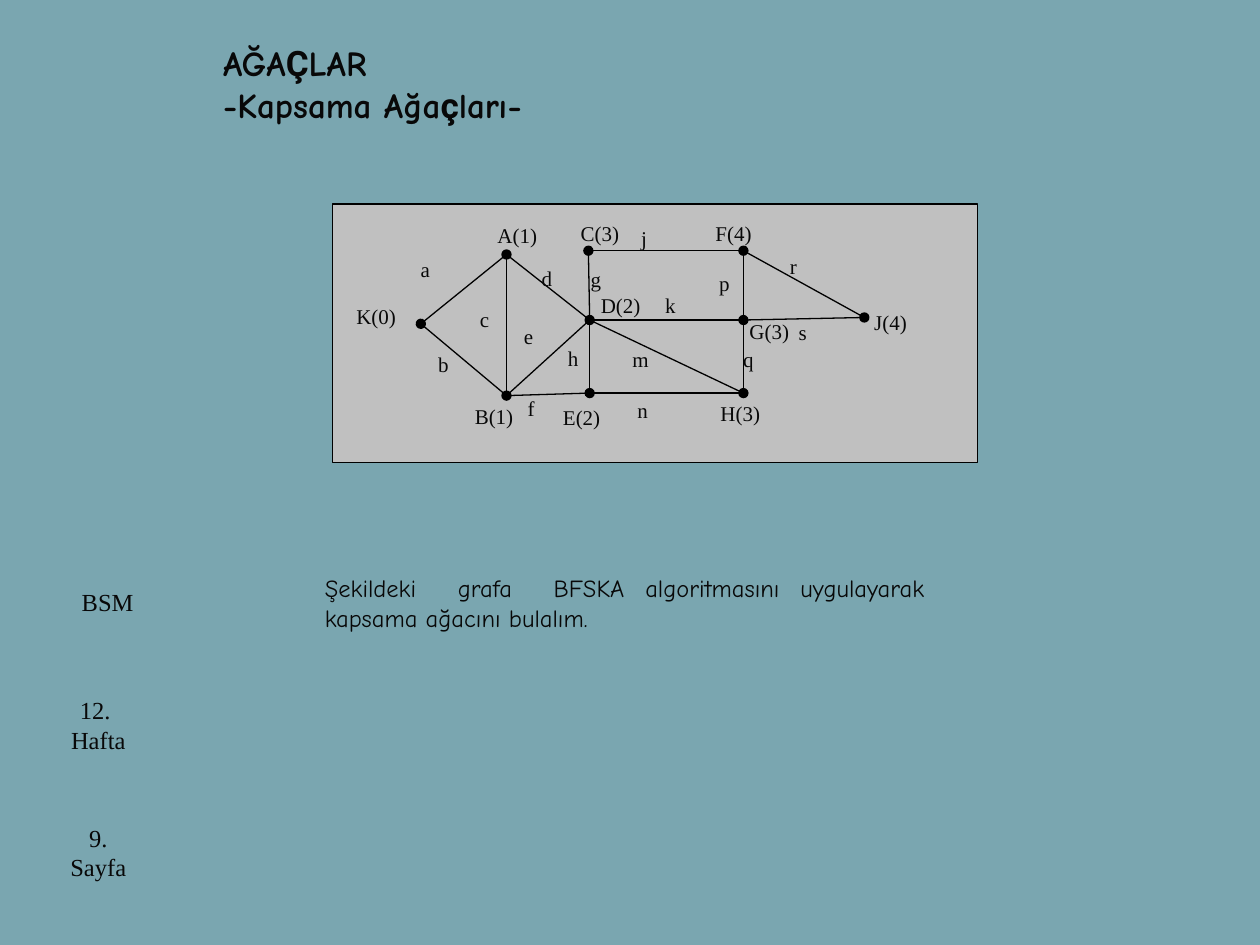
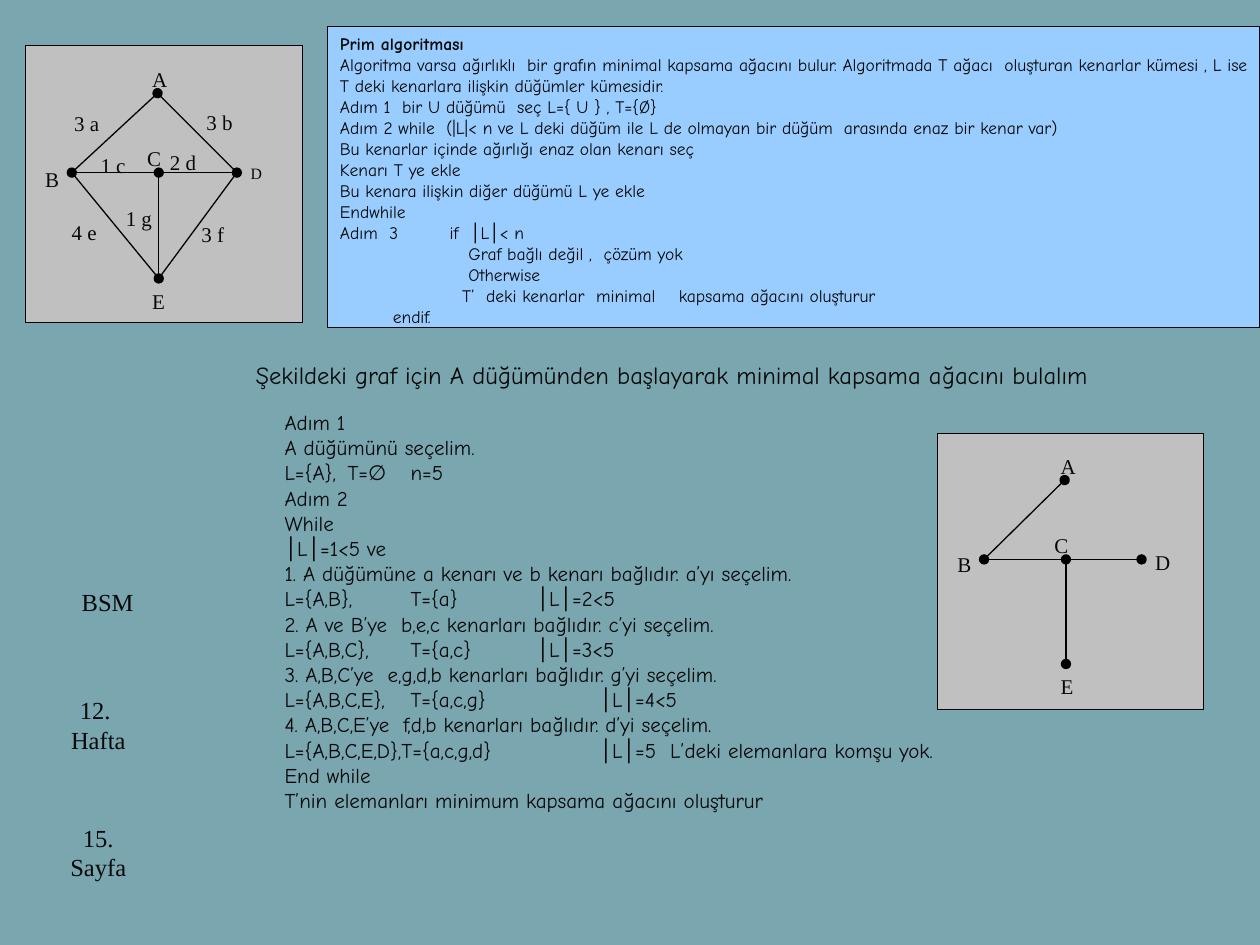
"""Build two slides on spanning trees: a breadth-first graph and Prim's algorithm."""
from lxml import etree
from pptx import Presentation
from pptx import util as u
from pptx.dml import color
from pptx.enum import shapes, text
from pptx.oxml import ns

COLORS = {"background": "7AA6B0", "ink": "080808", "edge": "000000",
          "panel": "C0C0C0", "algorithm": "99CCFF"}
COMIC, ROMAN, ROBOTO = "Comic Neue", "Times New Roman", "Roboto"

GRAPH_NODES = {"K": (3.34, 2.57), "A": (4.02, 2.02), "B": (4.02, 3.14), "C": (4.67, 1.99),
               "D": (4.68, 2.54), "E": (4.68, 3.12), "F": (5.9, 1.99), "G": (5.9, 2.54),
               "H": (5.9, 3.12), "J": (6.86, 2.52)}
GRAPH_EDGES = ["A-K*", "K-B", "*B-A*", "A-D", "D-B", "D-C", "*C-F*", "F-G", "G-D", "*G-H*",
               "H-E*", "E-D", "B-E", "F-J*", "J-G", "*D-H"]
GRAPH_LABELS = {
    "K(0)": (2.73, 2.36), "A(1)": (3.85, 1.72), "C(3)": (4.51, 1.7), "F(4)": (5.58, 1.7),
    "B(1)": (3.67, 3.15), "E(2)": (4.37, 3.16), "H(3)": (5.62, 3.13), "J(4)": (6.84, 2.41),
    "G(3)": (5.85, 2.48), "D(2)": (4.67, 2.27), "a": (3.24, 1.99), "b": (3.38, 2.74),
    "c": (3.71, 2.38), "e": (4.06, 2.52), "d": (4.2, 2.06), "j": (4.99, 1.74),
    "k": (5.18, 2.27), "n": (4.96, 3.11), "f": (4.09, 3.09), "p": (5.61, 2.1),
    "r": (6.17, 1.96), "m": (4.92, 2.7), "h": (4.41, 2.69), "q": (5.8, 2.7),
    "s": (6.24, 2.49), "g": (4.59, 2.07)}

WEIGHTED_NODES = {"A": (1.25, 0.74), "B": (0.57, 1.37), "C": (1.26, 1.37),
                  "D": (1.88, 1.37), "E": (1.26, 2.21)}
WEIGHTED_EDGES = ["*A-B", "A-D", "*D-C", "*B-E", "*E-C*", "E-D", "B-C"]
WEIGHTED_LABELS = {
    "A": (1.11, 0.48), "B": (0.26, 1.27), "D": (1.89, 1.25), "3 a": (0.49, 0.83),
    "E": (1.11, 2.24), "C": (1.07, 1.11), "3 b": (1.54, 0.82), "4 e": (0.47, 1.69),
    "3 f": (1.5, 1.71), "2 d": (1.25, 1.14), "1 c": (0.7, 1.16), "1 g": (0.9, 1.58)}

TREE_NODES = {"A": (8.45, 3.81), "B": (7.81, 4.44), "C": (8.46, 4.44),
              "D": (9.06, 4.44), "E": (8.46, 5.27)}
TREE_EDGES = ["*A-B", "*D-C", "*E-C*", "*B-C"]
TREE_LABELS = {"A": (8.32, 3.55), "B": (7.5, 4.33), "D": (9.07, 4.31),
               "E": (8.32, 5.3), "C": (8.27, 4.18)}

ALGORITHM_LINES = [
    "Prim algoritması",
    "Algoritma varsa ağırlıklı  bir grafın minimal kapsama ağacını bulur. Algoritmada T ağacı  "
    "oluşturan kenarlar kümesi , L ise T deki kenarlara ilişkin düğümler kümesidir.",
    "Adım 1  bir U düğümü  seç L={ U } , T={Ø}",
    "Adım 2 while  (|L|< n ve L deki düğüm ile L de olmayan bir düğüm \t"
    "arasında enaz bir kenar var)",
    "Bu kenarlar içinde ağırlığı enaz olan kenarı seç",
    "Kenarı T ye ekle",
    "Bu kenara ilişkin diğer düğümü L ye ekle",
    "Endwhile",
    "Adım  3\tif  │L│< n",
    "\tGraf bağlı değil ,  çözüm yok",
    "\tOtherwise",
    "\tT’  deki kenarlar  minimal\tkapsama ağacını oluşturur",
    "\tendif."]
ALGORITHM_TABS = {3: [0.25], 8: [0.87], 9: [1.02], 10: [1.02], 11: [0.97, 2.69], 12: [0.42]}

SOLUTION_LINES = [
    "Adım 1",
    "A düğümünü seçelim.",
    "L={A},\tT=∅\tn=5",
    "Adım 2",
    "While",
    "│L│=1<5 ve",
    "1. A düğümüne a kenarı ve b kenarı bağlıdır. a’yı seçelim.",
    "L={A,B},\tT={a}\t\t│L│=2<5",
    "2. A ve B’ye  b,e,c kenarları bağlıdır. c’yi seçelim.",
    "L={A,B,C},\tT={a,c}\t\t│L│=3<5",
    "3. A,B,C’ye  e,g,d,b kenarları bağlıdır. g’yi seçelim.",
    "L={A,B,C,E},\tT={a,c,g}\t\t│L│=4<5",
    "4. A,B,C,E’ye  f,d,b kenarları bağlıdır. d’yi seçelim.",
    "L={A,B,C,E,D},T={a,c,g,d}\t\t│L│=5  L’deki elemanlara komşu yok.",
    "End while",
    "T’nin elemanları minimum kapsama ağacını oluşturur"]


def rgb(name):
    """Return the palette colour with this name."""
    return color.RGBColor.from_string(COLORS[name])


def inches(values):
    """Convert a sequence of numbers to lengths."""
    return [u.Inches(value) for value in values]


def add_run(paragraph, words, name, size, bold=False):
    """Append a run of formatted text to a paragraph."""
    run = paragraph.add_run()
    run.text = words
    for attribute, value in {"name": name, "size": u.Pt(size), "bold": bold}.items():
        setattr(run.font, attribute, value)
    run.font.color.rgb = rgb("ink")
    return run


def fill_text(shape, lines, name, size, align=text.PP_ALIGN.LEFT, anchor=text.MSO_ANCHOR.TOP):
    """Write one paragraph per line into a shape."""
    frame = shape.text_frame
    for attribute, value in {"word_wrap": True, "vertical_anchor": anchor}.items():
        setattr(frame, attribute, value)
    for index, line in enumerate(lines):
        paragraph = frame.add_paragraph() if index else frame.paragraphs[0]
        paragraph.alignment = align
        add_run(paragraph, line, name, size)
    return frame


def add_text(parent, box, lines, name, size, **layout):
    """Add a text box to a slide or group."""
    return fill_text(parent.shapes.add_textbox(*inches(box)), lines, name, size, **layout)


def add_panel(parent, box, fill, line):
    """Add a filled, thinly outlined rectangle."""
    panel = parent.shapes.add_shape(shapes.MSO_SHAPE.RECTANGLE, *inches(box))
    panel.shadow.inherit = False
    panel.fill.solid()
    panel.fill.fore_color.rgb = rgb(fill)
    panel.line.color.rgb = rgb(line)
    panel.line.width = u.Pt(0.75)
    return panel


def add_edge(parent, start, end, start_dot, end_dot):
    """Add a graph edge with round dots at the chosen ends."""
    edge = parent.shapes.add_connector(shapes.MSO_CONNECTOR.STRAIGHT, *inches(start + end))
    edge.line.color.rgb = rgb("edge")
    edge.line.width = u.Pt(0.75)
    properties = edge._element.spPr
    outline = properties.find(ns.qn("a:ln"))
    for tag, dotted in (("a:headEnd", start_dot), ("a:tailEnd", end_dot)):
        if dotted:
            etree.SubElement(outline, ns.qn(tag), type="oval")
    etree.SubElement(properties, ns.qn("a:effectLst"))


def add_graph(slide, panel_box, nodes, edges, labels, label_size, small=()):
    """Add a grouped graph; an asterisk in an edge marks an end with a dot."""
    group = slide.shapes.add_group_shape()
    add_panel(group, panel_box, "panel", "edge")
    for edge in edges:
        start, end = edge.strip("*").split("-")
        add_edge(group, nodes[start], nodes[end], edge.startswith("*"), edge.endswith("*"))
    width, height = label_size
    for label, position in labels.items():
        label_width = 0.54 if " " in label else width
        add_text(group, (*position, label_width, height), [label], ROMAN,
                 9 if label in small else 12)


def add_title(slide):
    """Fill the title placeholder with its two lines."""
    title = slide.shapes.title
    geometry = zip(("left", "top", "width", "height"), inches((1.67, 0.08, 8.07, 1.17)))
    for attribute, value in geometry:
        setattr(title, attribute, value)
    frame = title.text_frame
    frame.auto_size = text.MSO_AUTO_SIZE.NONE
    frame.vertical_anchor = text.MSO_ANCHOR.MIDDLE
    paragraph = frame.paragraphs[0]
    paragraph.alignment = text.PP_ALIGN.LEFT
    for words, name in (("AĞA", COMIC), ("Ç", ROBOTO), ("LAR", COMIC)):
        add_run(paragraph, words, name, 20, True)
    paragraph.add_line_break()
    for words, name in (("-Kapsama Ağa", COMIC), ("ç", ROBOTO), ("ları-", COMIC)):
        add_run(paragraph, words, name, 20, True)


def add_footer(slide, page):
    """Add the course, week and page notes at the left edge."""
    centered = {"align": text.PP_ALIGN.CENTER}
    add_text(slide, (0.39, 5.47, 0.78, 0.7), ["12.  Hafta"], ROMAN, 14, **centered)
    add_text(slide, (0.39, 6.48, 0.78, 0.62), [f"{page}. Sayfa"], ROMAN, 14, **centered)
    add_text(slide, (0.55, 4.61, 0.62, 0.34), ["BSM"], ROMAN, 14)


def add_algorithm(slide):
    """Add the blue panel with the steps of the algorithm."""
    panel = add_panel(slide, (2.6, 0.21, 7.4, 2.39), "algorithm", "ink")
    frame = fill_text(panel, ALGORITHM_LINES, COMIC, 10, anchor=text.MSO_ANCHOR.MIDDLE)
    frame.margin_bottom = 0
    frame.paragraphs[0].runs[0].font.bold = True
    for index, stops in ALGORITHM_TABS.items():
        properties = frame.paragraphs[index]._p.get_or_add_pPr()
        tab_list = etree.SubElement(properties, ns.qn("a:tabLst"))
        for stop in stops:
            etree.SubElement(tab_list, ns.qn("a:tab"), pos=str(u.Inches(stop)), algn="l")


def build_graph_slide(presentation):
    """Build the slide that poses the breadth-first task."""
    slide = presentation.slides.add_slide(presentation.slide_layouts[5])
    add_title(slide)
    add_graph(slide, (2.64, 1.62, 5.12, 2.05), GRAPH_NODES, GRAPH_EDGES, GRAPH_LABELS,
              (0.67, 0.46))
    add_text(slide, (2.48, 4.5, 4.96, 0.57),
             ["Şekildeki  grafa  BFSKA algoritmasını uygulayarak kapsama ağacını bulalım."],
             COMIC, 14, align=text.PP_ALIGN.JUSTIFY, anchor=text.MSO_ANCHOR.MIDDLE)
    add_footer(slide, 9)


def build_prim_slide(presentation):
    """Build the slide that works through Prim's algorithm."""
    slide = presentation.slides.add_slide(presentation.slide_layouts[6])
    middle = {"anchor": text.MSO_ANCHOR.MIDDLE}
    add_algorithm(slide)
    add_text(slide, (1.93, 2.81, 7.16, 0.33),
             ["Şekildeki graf için A düğümünden başlayarak minimal kapsama ağacını bulalım"],
             COMIC, 14, **middle)
    add_graph(slide, (0.2, 0.36, 2.2, 2.2), WEIGHTED_NODES, WEIGHTED_EDGES, WEIGHTED_LABELS,
              (0.37, 0.33), small=("D",))
    add_text(slide, (2.16, 3.2, 5.99, 3.3), SOLUTION_LINES, COMIC, 12, **middle)
    add_graph(slide, (7.44, 3.44, 2.11, 2.19), TREE_NODES, TREE_EDGES, TREE_LABELS,
              (0.35, 0.32))
    add_footer(slide, 15)


def main():
    """Create and save the presentation."""
    presentation = Presentation()
    presentation.slide_width, presentation.slide_height = inches((10, 7.5))
    background = presentation.slide_master.background.fill
    background.solid()
    background.fore_color.rgb = rgb("background")
    build_graph_slide(presentation)
    build_prim_slide(presentation)
    presentation.save("out.pptx")


if __name__ == "__main__":
    main()
